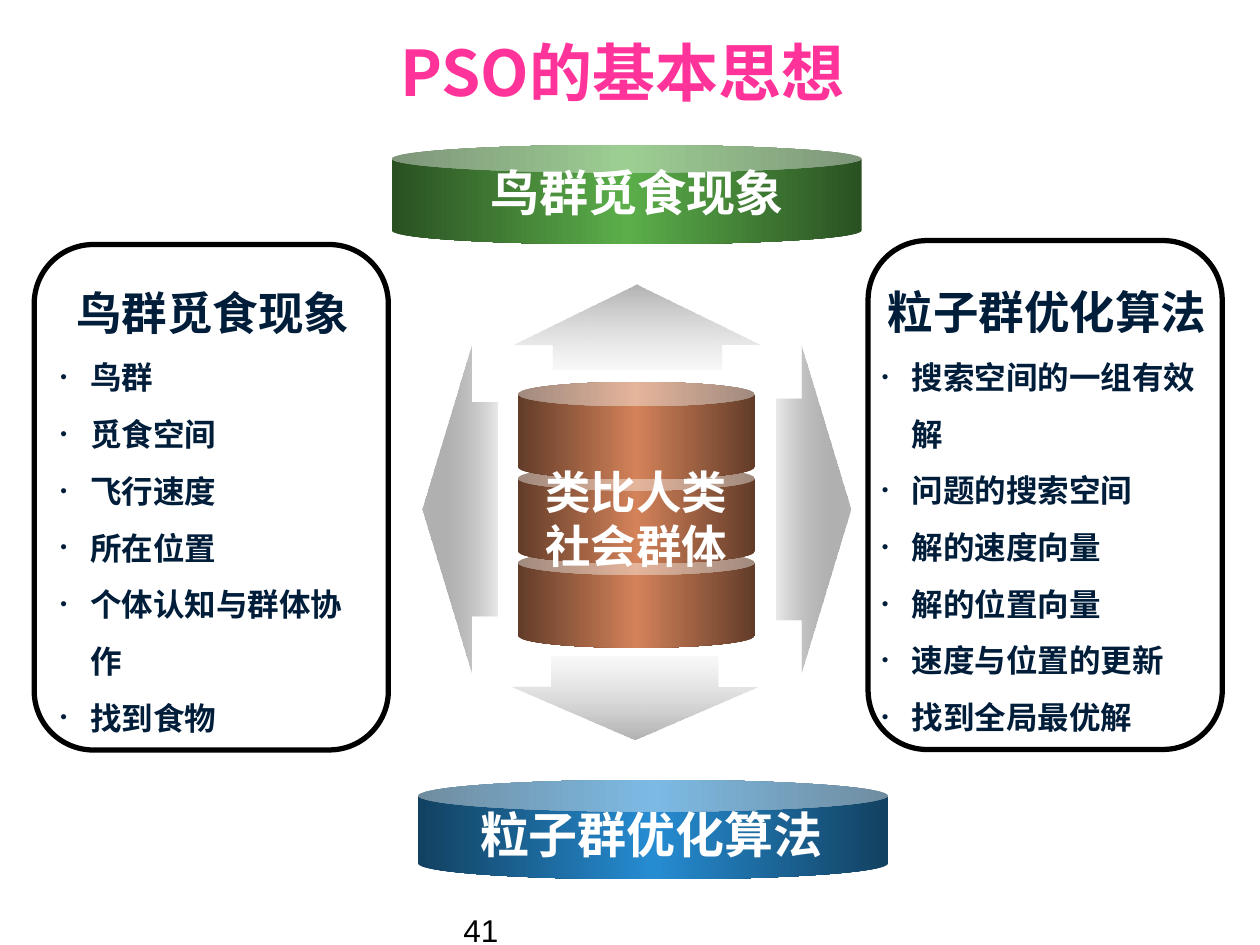
from collections import namedtuple

from lxml.etree import SubElement
from pptx import Presentation
from pptx.dml.color import RGBColor
from pptx.enum.shapes import MSO_SHAPE
from pptx.enum.text import MSO_ANCHOR, PP_ALIGN
from pptx.oxml.ns import qn
from pptx.util import Cm, Pt

Box = namedtuple("Box", "left top width height")

BLACK = RGBColor(0x00, 0x00, 0x00)
WHITE = RGBColor(0xFF, 0xFF, 0xFF)
PINK = RGBColor(0xFF, 0x33, 0x99)
NAVY = RGBColor(0x00, 0x1D, 0x3A)
DARK_GREEN = RGBColor(0x2A, 0x51, 0x22)
GREEN = RGBColor(0x5B, 0xAE, 0x4A)
DARK_BLUE = RGBColor(0x12, 0x41, 0x61)
BLUE = RGBColor(0x26, 0x8C, 0xD2)
DARK_BROWN = RGBColor(0x62, 0x3C, 0x29)
BROWN = RGBColor(0xD3, 0x82, 0x59)
GREY = RGBColor(0xB2, 0xB2, 0xB2)
PALE_GREY = RGBColor(0xCE, 0xCE, 0xCE)
DARK_GREY = RGBColor(0x52, 0x52, 0x52)

TITLE = {"name": "Noto Sans CJK JP", "size": Pt(36), "bold": True}
HEADING = {"name": "DejaVu Sans", "size": Pt(26), "bold": True}
ITEM = {**HEADING, "size": Pt(18)}
BANNER = {"name": "Arial", "size": Pt(28), "bold": True}
HUB = {**BANNER, "size": Pt(26)}
NUMBER = {"name": "Arial", "size": Pt(18), "bold": False}


def within(box, left, top, width, height):
    return Box(box.left + left, box.top + top, width, height)


def add_text(slide, box, lines, formats, color, align=PP_ALIGN.CENTER,
             wrap=True, anchor=MSO_ANCHOR.TOP):
    frame = slide.shapes.add_textbox(*map(Cm, box)).text_frame
    frame.word_wrap = wrap
    frame.vertical_anchor = anchor
    frame.text = "\n".join(lines)
    for paragraph in frame.paragraphs:
        paragraph.alignment = align
        format_font(paragraph.runs[0].font, formats, color)
    return frame


def format_font(font, formats, color):
    for name, value in formats.items():
        setattr(font, name, value)
    font.color.rgb = color


def add_bullet(paragraph):
    properties = paragraph._p.get_or_add_pPr()
    properties.set("marL", str(Cm(0.6)))
    properties.set("indent", str(-Cm(0.6)))
    SubElement(properties, qn("a:buSzPct"), val="60000")
    SubElement(properties, qn("a:buFont"), typeface="Arial")
    SubElement(properties, qn("a:buChar"), char="•")


def add_gradient_shape(slide, kind, box, adjustments, stops, angle=0):
    shape = slide.shapes.add_shape(kind, *map(Cm, box))
    shape.shadow.inherit = False
    shape.line.fill.background()
    for index, value in enumerate(adjustments):
        shape.adjustments[index] = value
    shape.fill.gradient()
    shape.fill.gradient_angle = angle
    stop_list = shape._element.spPr.find(qn("a:gradFill")).find(qn("a:gsLst"))
    for old_stop in list(stop_list):
        stop_list.remove(old_stop)
    for position, color, opacity in stops:
        stop = SubElement(stop_list, qn("a:gs"), pos=str(position * 1000))
        tone = SubElement(stop, qn("a:srgbClr"), val=str(color))
        if opacity < 100:
            SubElement(tone, qn("a:alpha"), val=str(opacity * 1000))


def add_can(slide, box, depth, edge, middle):
    stops = [(0, edge, 100), (50, middle, 100), (100, edge, 100)]
    add_gradient_shape(slide, MSO_SHAPE.CAN, box, [depth], stops)


def add_panel(slide, box, text_box, heading, items):
    outline = slide.shapes.add_shape(MSO_SHAPE.ROUNDED_RECTANGLE, *map(Cm, box))
    outline.shadow.inherit = False
    outline.adjustments[0] = 0.167
    outline.fill.background()
    outline.line.color.rgb = BLACK
    outline.line.width = Pt(3)
    frame = add_text(slide, within(box, *text_box), [heading, *items], HEADING, NAVY)
    for paragraph in frame.paragraphs[1:]:
        paragraph.alignment = PP_ALIGN.LEFT
        paragraph.line_spacing = 1.5
        format_font(paragraph.runs[0].font, ITEM, NAVY)
        add_bullet(paragraph)


def add_banner(slide, box, text_box, text, depth, edge, middle):
    add_can(slide, box, depth, edge, middle)
    add_text(slide, within(box, *text_box), [text], BANNER, WHITE, wrap=False)


def add_hub(slide, box, lines):
    for level in (2, 1, 0):
        can_box = within(box, 1.93, 1.96 + 1.7 * level, 4.78, 1.96)
        add_can(slide, can_box, 0.25, DARK_BROWN, BROWN)
    arrows = [
        (MSO_SHAPE.DOWN_ARROW, (1.78, 7.49, 5, 1.68), (0.671, 0.641),
         [(0, PALE_GREY, 12), (100, GREY, 100)], 270),
        (MSO_SHAPE.LEFT_ARROW, (0, 1.22, 1.52, 6.6), (0.656, 0.652),
         [(0, GREY, 100), (100, DARK_GREY, 12)], 0),
        (MSO_SHAPE.RIGHT_ARROW, (7.14, 1.22, 1.5, 6.6), (0.677, 0.662),
         [(0, DARK_GREY, 12), (100, GREY, 100)], 0),
        (MSO_SHAPE.UP_ARROW, (1.85, 0, 4.98, 1.7), (0.684, 0.708),
         [(0, GREY, 100), (100, PALE_GREY, 12)], 270),
    ]
    for kind, place, adjustments, stops, angle in arrows:
        add_gradient_shape(slide, kind, within(box, *place), adjustments, stops, angle)
    add_text(slide, within(box, 2.12, 3.48, 4.4, 2.46), lines, HUB, WHITE, wrap=False)


def main():
    presentation = Presentation()
    presentation.slide_width = Cm(25.4)
    presentation.slide_height = Cm(19.05)
    slide = presentation.slides.add_slide(presentation.slide_layouts[6])

    add_text(slide, Box(9.09, 18.24, 5.92, 0.81), ["41"], NUMBER, BLACK, PP_ALIGN.LEFT)
    add_text(slide, Box(0.58, 0.53, 23.93, 1.8), ["PSO的基本思想"], TITLE, PINK,
             anchor=MSO_ANCHOR.MIDDLE)
    add_panel(slide, Box(0.69, 4.93, 7.14, 10.19), (0.28, 0.69, 6.65, 8.99),
              "鸟群觅食现象",
              ["鸟群", "觅食空间", "飞行速度", "所在位置", "个体认知与群体协作", "找到食物"])
    add_panel(slide, Box(17.5, 4.85, 7.14, 10.26), (0.03, 0.76, 7.16, 8.99),
              "粒子群优化算法",
              ["搜索空间的一组有效解", "问题的搜索空间", "解的速度向量", "解的位置向量",
               "速度与位置的更新", "找到全局最优解"])
    add_banner(slide, Box(7.9, 2.92, 9.47, 2.01), (1.73, 0.23, 6.43, 1.45),
               "鸟群觅食现象", 0.279, DARK_GREEN, GREEN)
    add_banner(slide, Box(8.43, 15.72, 9.47, 2.01), (0.99, 0.38, 7.42, 1.45),
               "粒子群优化算法", 0.32, DARK_BLUE, BLUE)
    add_hub(slide, Box(8.51, 5.74, 8.64, 9.17), ["类比人类", "社会群体"])

    presentation.save("out.pptx")


if __name__ == "__main__":
    main()
